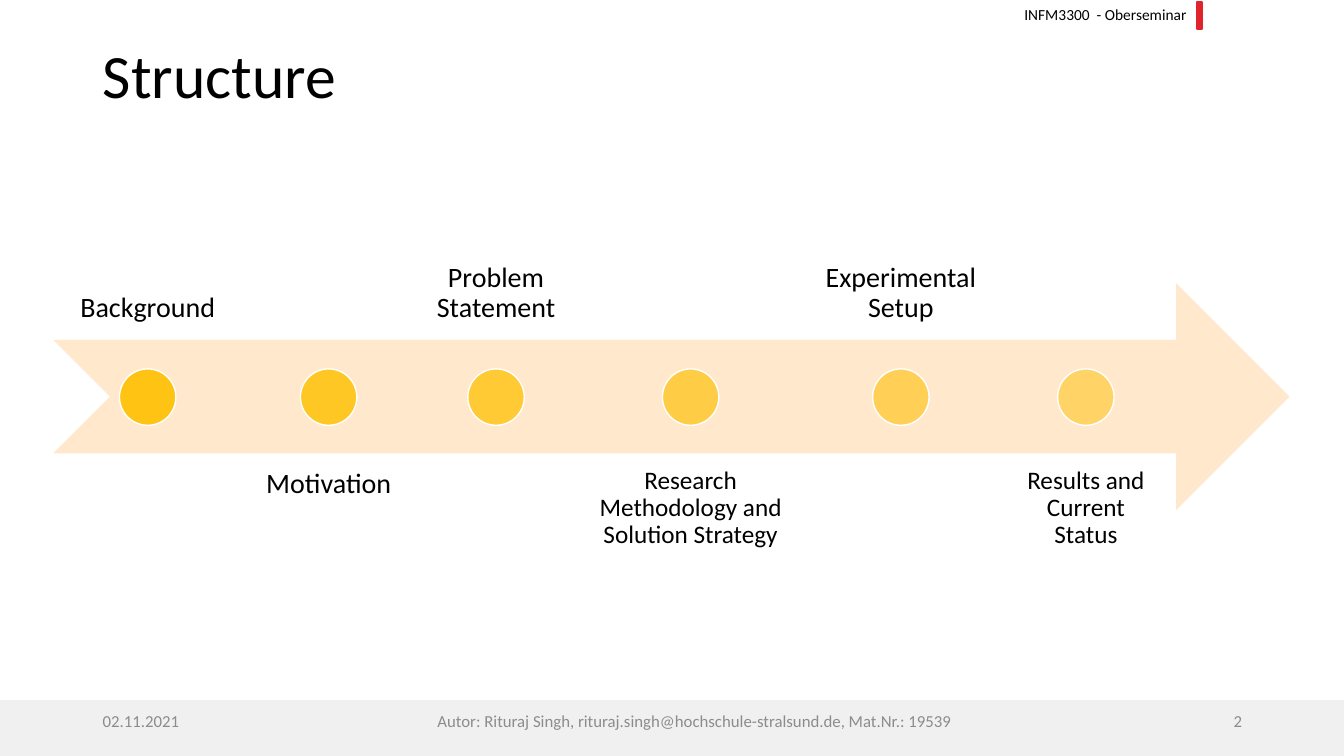
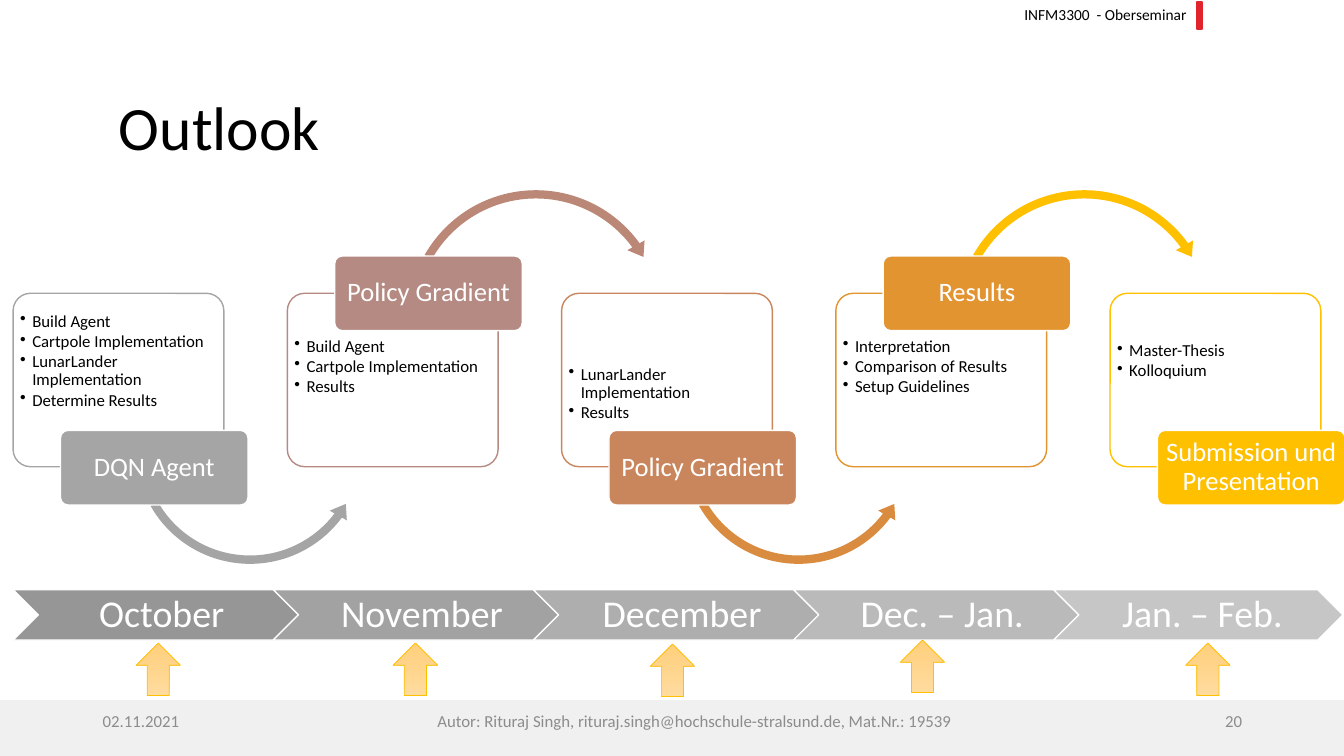
from lxml.etree import SubElement
from pptx import Presentation
from pptx.dml.color import RGBColor
from pptx.enum.shapes import MSO_SHAPE as Shape
from pptx.enum.text import MSO_ANCHOR as Anchor, MSO_AUTO_SIZE as AutoSize, PP_ALIGN as Align
from pptx.oxml.ns import qn
from pptx.util import Inches, Pt

# Shared look
FONT = "Calibri"
BLACK, WHITE, GREY, GOLD = "000000", "FFFFFF", "A5A5A5", "FFC000"
BAND, RED, FOOTER_TEXT, PEACH = "F0F0F0", "E1232B", "8C8C8C", "FFE8CC"
INSETS = (0.1, 0.05, 0.1, 0.05)
DATE = "02.11.2021"
AUTHOR = "Autor: Rituraj Singh, rituraj.singh@hochschule-stralsund.de, Mat.Nr.: 19539"

# Structure slide: label, left, width, text size, inset, circle opacity
SECTIONS = [
    ("Background", 0.54, 1.85, 20, 0.16, 90),
    ("Motivation", 2.47, 1.58, 20, 0.16, 82),
    ("Problem Statement", 4.13, 1.58, 20, 0.16, 74),
    ("Research Methodology and Solution Strategy", 5.8, 2.1, 18, 0.14, 66),
    ("Experimental Setup", 7.97, 1.93, 20, 0.16, 58),
    ("Results and Current Status", 9.98, 1.58, 18, 0.14, 50),
]

# Outlook slide: label, card colour, arrow colour, text anchor, tasks
STAGES = [
    ("DQN Agent", GREY, GREY, Anchor.MIDDLE,
     ["Build Agent", "Cartpole Implementation", "LunarLander Implementation",
      "Determine Results"]),
    ("Policy Gradient", "B48A83", "BB8776", Anchor.TOP,
     ["Build Agent", "Cartpole Implementation", "Results"]),
    ("Policy Gradient", "C9855C", "D98C3F", Anchor.BOTTOM,
     ["LunarLander Implementation", "Results"]),
    ("Results", "E19430", GOLD, Anchor.TOP,
     ["Interpretation", "Comparison of Results", "Setup Guidelines"]),
    ("Submission und Presentation", GOLD, None, Anchor.MIDDLE,
     ["Master-Thesis", "Kolloquium"]),
]
MONTHS = [
    ("October", "969696"),
    ("November", "A2A2A2"),
    ("December", "AEAEAE"),
    ("Dec. – Jan.", "BABABA"),
    ("Jan. – Feb.", "C6C6C6"),
]
MARKERS = [(1.35, 6.38), (3.9, 6.38), (6.45, 6.39), (8.93, 6.35), (11.76, 6.38)]

# Circular arrow adjustments, in percent
ARC_BELOW = (3.5, 431.6, 2207.2, 9024.5, 4.1)
ARC_ABOVE = (3.1, 384.9, 19439.6, 12575.5, 3.7)


def color(value):
    return RGBColor.from_string(value)


def set_values(target, values):
    for name, value in values.items():
        setattr(target, name, value)


def add_bullet(paragraph):
    properties = paragraph._p.get_or_add_pPr()
    properties.set("marL", str(Inches(0.12)))
    properties.set("indent", str(-Inches(0.12)))
    SubElement(properties, qn("a:buChar"), char="•")


def write_text(shape, lines, size, text_color=BLACK, align=Align.LEFT,
               anchor=Anchor.MIDDLE, insets=INSETS, spacing=0.9, bullets=False):
    frame = shape.text_frame
    left, top, right, bottom = map(Inches, insets)
    set_values(frame, {
        "auto_size": AutoSize.NONE, "word_wrap": True, "vertical_anchor": anchor,
        "margin_left": left, "margin_top": top,
        "margin_right": right, "margin_bottom": bottom,
    })
    for index, line in enumerate(lines):
        paragraph = frame.add_paragraph() if index else frame.paragraphs[0]
        set_values(paragraph, {"alignment": align, "line_spacing": spacing})
        if bullets:
            paragraph.space_after = Pt(1.5)
            add_bullet(paragraph)
        run = paragraph.add_run()
        run.text = line
        set_values(run.font, {"name": FONT, "size": Pt(size)})
        run.font.color.rgb = color(text_color)


def add_text(slide, box, text, size, **text_format):
    shape = slide.shapes.add_textbox(*map(Inches, box))
    write_text(shape, [text], size, **text_format)


def add_shape(slide, kind, box, fill, line=None, line_width=1, opacity=100):
    shape = slide.shapes.add_shape(kind, *map(Inches, box))
    shape.shadow.inherit = False
    shape.fill.solid()
    shape.fill.fore_color.rgb = color(fill)
    if opacity < 100:
        fill_color = shape._element.spPr.find(qn("a:solidFill"))[0]
        SubElement(fill_color, qn("a:alpha"), val=str(opacity * 1000))
    if line:
        shape.line.color.rgb = color(line)
        shape.line.width = Pt(line_width)
    else:
        shape.line.fill.background()
    return shape


def add_rounded(slide, box, fill, line, opacity=100):
    shape = add_shape(slide, Shape.ROUNDED_RECTANGLE, box, fill, line, opacity=opacity)
    shape.adjustments[0] = 0.1
    return shape


def add_slide(presentation, title, title_left, title_top, title_anchor, number):
    slide = presentation.slides.add_slide(presentation.slide_layouts[5])
    # Title
    set_values(slide.shapes.title, {
        "left": Inches(title_left), "top": Inches(title_top),
        "width": Inches(11.5), "height": Inches(1.45),
    })
    write_text(slide.shapes.title, [title], 44, anchor=title_anchor)
    # Header mark and footer band
    add_shape(slide, Shape.RECTANGLE, (0, 6.95, 13.33, 0.54), BAND, BAND)
    add_text(slide, (9.61, 0, 2.26, 0.29), "INFM3300  - Oberseminar", 11,
             align=Align.RIGHT, anchor=Anchor.TOP, spacing=1)
    add_shape(slide, Shape.RECTANGLE, (11.87, 0.02, 0.05, 0.27), RED, RED)
    # Footer texts
    for left, width, text, align in (
        (0.92, 3, DATE, Align.LEFT),
        (4.12, 5.54, AUTHOR, Align.CENTER),
        (9.86, 2.56, str(number), Align.RIGHT),
    ):
        add_text(slide, (left, 6.95, width, 0.4), text, 12,
                 text_color=FOOTER_TEXT, align=align, spacing=1)
    return slide


def add_section(slide, index, text, left, width, size, inset, opacity):
    above = index % 2 == 0
    add_text(slide, (left, 1.12 if above else 4.5, width, 2.25), text, size,
             align=Align.CENTER, anchor=Anchor.BOTTOM if above else Anchor.TOP,
             insets=(inset,) * 4)
    diameter = 0.56
    circle_left = left + (width - diameter) / 2
    add_shape(slide, Shape.OVAL, (circle_left, 3.66, diameter, diameter),
              GOLD, WHITE, opacity=opacity)


def add_stage(slide, index, label, card_color, arrow_color, anchor, tasks):
    left = 0.13 + index * 2.72
    label_above = index % 2 == 1
    # Card with its tasks, kept clear of the label
    card = add_rounded(slide, (left, 2.91, 2.09, 1.72), WHITE, card_color, opacity=90)
    insets = (0.02, 0.39, 0.02, 0.02) if label_above else (0.02, 0.02, 0.02, 0.39)
    write_text(card, tasks, 12, anchor=anchor, insets=insets, bullets=True)
    # Arrow to the next card
    if arrow_color:
        if label_above:
            kind, top, size, arc = Shape.CIRCULAR_ARROW, 1.83, 2.65, ARC_ABOVE
        else:
            kind, top, size, arc = Shape.LEFT_CIRCULAR_ARROW, 3.27, 2.38, ARC_BELOW
        arrow_left = left + (1.14 if label_above else 1.16)
        arrow = add_shape(slide, kind, (arrow_left, top, size, size), arrow_color)
        for position, percent in enumerate(arc):
            arrow.adjustments[position] = percent / 100
    # Label
    label_box = (left + 0.47, 2.54 if label_above else 4.27, 1.86, 0.74)
    label_shape = add_rounded(slide, label_box, card_color, WHITE)
    write_text(label_shape, [label], 19, text_color=WHITE, align=Align.CENTER,
               insets=(0.04, 0.03, 0.04, 0.03))


def add_month(slide, index, month, fill):
    chevron = add_shape(slide, Shape.CHEVRON, (0.13 + index * 2.58, 5.85, 2.87, 0.5),
                        fill, WHITE)
    write_text(chevron, [month], 27, text_color=WHITE, align=Align.CENTER,
               insets=(0.12, 0.04, 0.04, 0.04))


def add_marker(slide, left, top):
    marker = add_shape(slide, Shape.UP_ARROW, (left, top, 0.44, 0.52), PEACH, GOLD, 0.5)
    marker.fill.gradient()
    marker.fill.gradient_angle = 90
    for stop, stop_color in zip(marker.fill.gradient_stops, ("FFDB9E", "FFD07C")):
        stop.color.rgb = color(stop_color)


def build_structure(presentation):
    slide = add_slide(presentation, "Structure", 0.92, 0.4, Anchor.TOP, 2)
    add_shape(slide, Shape.NOTCHED_RIGHT_ARROW, (0.53, 2.81, 12.26, 2.25), PEACH)
    for index, section in enumerate(SECTIONS):
        add_section(slide, index, *section)


def build_outlook(presentation):
    slide = add_slide(presentation, "Outlook", 1.08, 0.57, Anchor.MIDDLE, 20)
    for index, stage in enumerate(STAGES):
        add_stage(slide, index, *stage)
    for index, month in enumerate(MONTHS):
        add_month(slide, index, *month)
    for position in MARKERS:
        add_marker(slide, *position)


def main():
    presentation = Presentation()
    presentation.slide_width = Inches(13.33)
    presentation.slide_height = Inches(7.5)
    build_structure(presentation)
    build_outlook(presentation)
    presentation.save("out.pptx")


if __name__ == "__main__":
    main()
